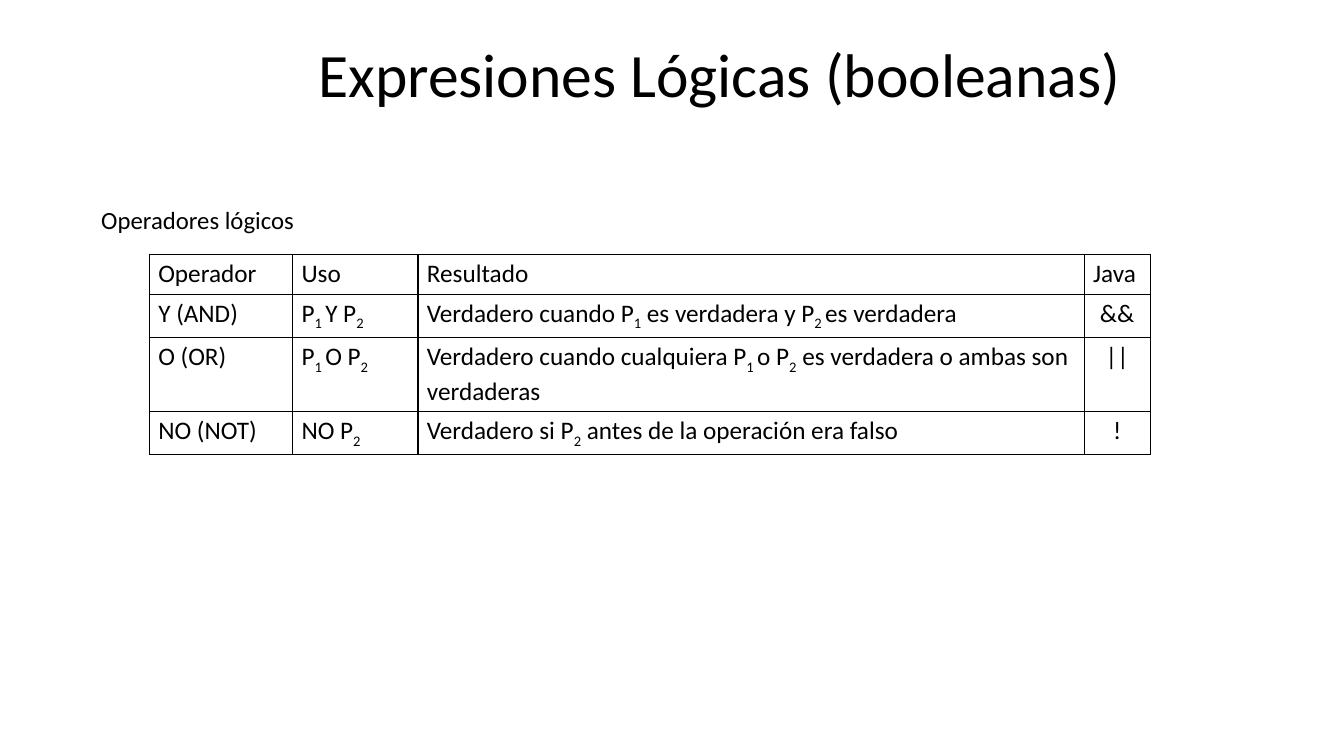
from dataclasses import dataclass

import lxml.etree
import pptx
import pptx.dml.color
import pptx.enum.text
import pptx.oxml.ns
import pptx.util
from pptx.util import Inches

COLORS = {"text": "000000", "border": "000000", "background": "FFFFFF"}
FONT = "Calibri"
ALIGN = pptx.enum.text.PP_ALIGN
SUBSCRIPT_MARK = "~"

COLUMN_WIDTHS = (1.61, 1.41, 7.49, 0.74)
ROW_HEIGHTS = (0.41, 0.41, 0.58, 0.41)
ROWS = (
    ("Operador", "Uso", "Resultado", "Java"),
    ("Y (AND)", "P~1 ~Y P~2~",
     "Verdadero cuando P~1~ es verdadera y P~2 ~es verdadera", "&&"),
    ("O (OR)", "P~1 ~O P~2~",
     "Verdadero cuando cualquiera P~1 ~o P~2~ es verdadera o ambas son verdaderas", "||"),
    ("NO (NOT)", "NO P~2~",
     "Verdadero si P~2~ antes de la operación era falso", "!"),
)


@dataclass(frozen=True)
class Label:
    text: str
    left: float
    top: float
    width: float
    height: float
    size: float
    align: ALIGN
    vertical_margin: float
    line_spacing: float = 1.0


LABELS = (
    Label("Expresiones Lógicas (booleanas)", 1.04, 0.45, 11.66, 1.64, 49.9,
          ALIGN.RIGHT, 0.05, 0.9),
    Label("Operadores lógicos", 1.04, 2.2, 4.04, 0.67, 20, ALIGN.LEFT, 0.1),
)


def color(name: str) -> pptx.dml.color.RGBColor:
    return pptx.dml.color.RGBColor.from_string(COLORS[name])


def write_text(paragraph, text: str, size: float, align: ALIGN) -> None:
    """Fill a paragraph; text between two subscript marks is lowered."""
    paragraph.alignment = align
    paragraph.font.name = FONT
    paragraph.font.size = pptx.util.Pt(size)
    paragraph.font.color.rgb = color("text")
    for index, part in enumerate(text.split(SUBSCRIPT_MARK)):
        if part:
            run = paragraph.add_run()
            run.text = part
            if index % 2:
                run._r.get_or_add_rPr().set("baseline", "-25000")


def add_label(slide, label: Label) -> None:
    shape = slide.shapes.add_textbox(Inches(label.left), Inches(label.top),
                                     Inches(label.width), Inches(label.height))
    frame = shape.text_frame
    frame.word_wrap = True
    frame.margin_top = frame.margin_bottom = Inches(label.vertical_margin)
    paragraph = frame.paragraphs[0]
    paragraph.line_spacing = label.line_spacing
    write_text(paragraph, label.text, label.size, label.align)


def add_borders(cell) -> None:
    properties = cell._tc.get_or_add_tcPr()
    for index, side in enumerate(("lnL", "lnR", "lnT", "lnB")):
        line = lxml.etree.Element(pptx.oxml.ns.qn(f"a:{side}"), w=str(pptx.util.Pt(1)))
        fill = lxml.etree.SubElement(line, pptx.oxml.ns.qn("a:solidFill"))
        lxml.etree.SubElement(fill, pptx.oxml.ns.qn("a:srgbClr"), val=COLORS["border"])
        properties.insert(index, line)


def add_operator_table(slide) -> None:
    table = slide.shapes.add_table(
        len(ROWS), len(COLUMN_WIDTHS), Inches(1.68), Inches(2.86),
        Inches(sum(COLUMN_WIDTHS)), Inches(sum(ROW_HEIGHTS))).table
    table.first_row = table.horz_banding = False
    for column, width in zip(table.columns, COLUMN_WIDTHS):
        column.width = Inches(width)
    for row, height, texts in zip(table.rows, ROW_HEIGHTS, ROWS):
        row.height = Inches(height)
        for index, (cell, text) in enumerate(zip(row.cells, texts)):
            is_symbol = texts is not ROWS[0] and index == len(texts) - 1
            align = ALIGN.CENTER if is_symbol else ALIGN.LEFT
            write_text(cell.text_frame.paragraphs[0], text, 20.4, align)
            cell.fill.solid()
            cell.fill.fore_color.rgb = color("background")
            add_borders(cell)


def main() -> None:
    presentation = pptx.Presentation()
    presentation.slide_width = Inches(15.11)
    presentation.slide_height = Inches(8.5)
    slide = presentation.slides.add_slide(presentation.slide_layouts[6])
    add_operator_table(slide)
    for label in LABELS:
        add_label(slide, label)
    presentation.save("out.pptx")


if __name__ == "__main__":
    main()
